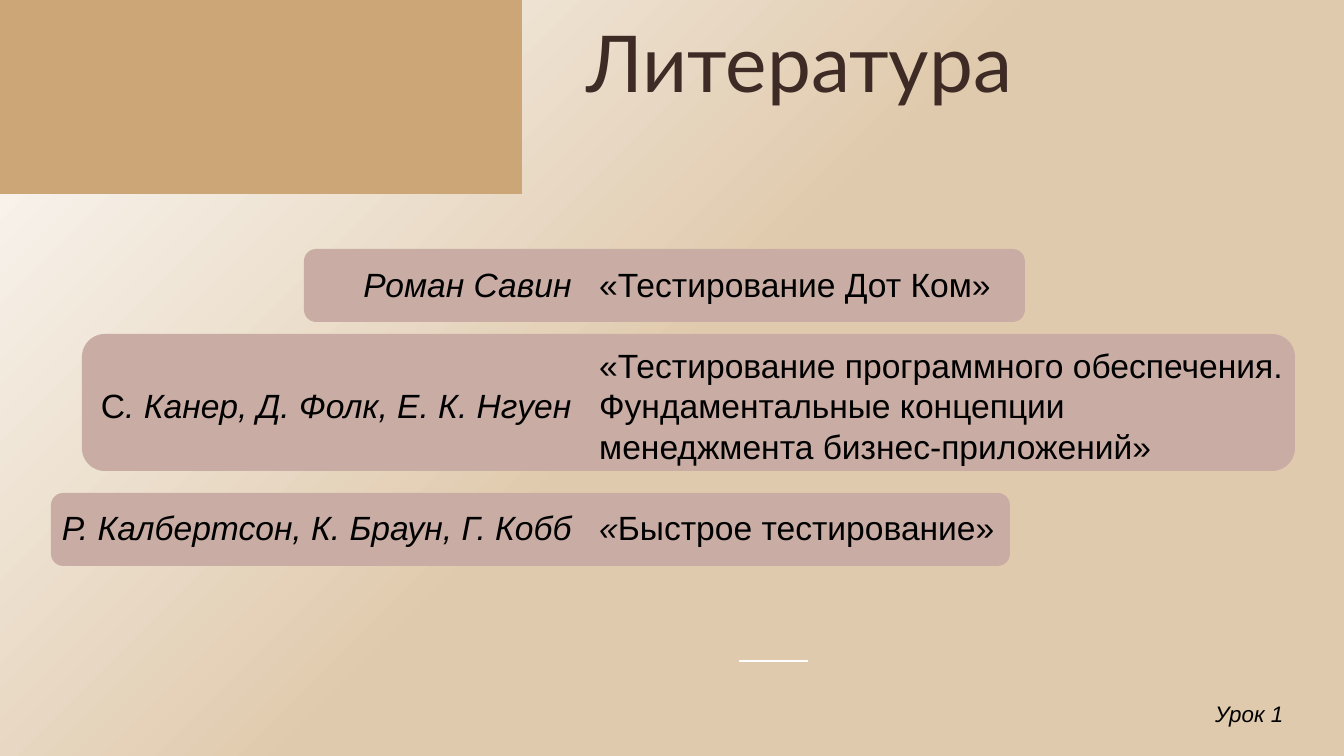
"""Build the "Литература" slide: three books on testing with their authors."""
from dataclasses import dataclass
from typing import NamedTuple

from lxml import etree
from pptx import Presentation
from pptx.dml.color import RGBColor
from pptx.enum.shapes import MSO_CONNECTOR, MSO_SHAPE
from pptx.enum.text import MSO_ANCHOR, MSO_AUTO_SIZE, PP_ALIGN
from pptx.oxml.ns import qn
from pptx.slide import Slide
from pptx.text.text import TextFrame, _Paragraph
from pptx.util import Emu, Pt

RECTANGLE, ROUNDED = MSO_SHAPE.RECTANGLE, MSO_SHAPE.ROUNDED_RECTANGLE
STRAIGHT = MSO_CONNECTOR.STRAIGHT
LEFT, RIGHT = PP_ALIGN.LEFT, PP_ALIGN.RIGHT
TOP, BOTTOM = MSO_ANCHOR.TOP, MSO_ANCHOR.BOTTOM
NO_AUTOFIT = MSO_AUTO_SIZE.NONE
PX_PER_INCH = 134.4
TITLE_ONLY = 5


@dataclass(frozen=True)
class Theme:
    """Colours, fonts and type sizes of the slide."""

    glow: str = "FDFBF9"
    sand: str = "E0CAAD"
    corner: str = "CCA677"
    band: str = "C9ADA4"
    rule: str = "FFFFFF"
    heading: str = "3F2B25"
    ink: str = "000000"
    heading_font: str = "Lato"
    body_font: str = "Arial"
    heading_size: float = 42
    body_size: float = 18
    note_size: float = 12
    line_pitch: float = 21.7
    rule_width: float = 1.5


class Box(NamedTuple):
    """A frame in px."""

    left: int
    top: int
    width: int
    height: int


class Span(NamedTuple):
    """A piece of text in one style."""

    text: str
    italic: bool = False


class Line(NamedTuple):
    """A paragraph and the number of line pitches left free above it."""

    spans: tuple[Span, ...]
    lines_above: int = 0


THEME = Theme()
SLIDE = Box(0, 0, 1344, 756)
CORNER = Box(0, 0, 522, 194)
BANDS = (Box(304, 249, 721, 73), Box(82, 334, 1213, 137), Box(51, 493, 959, 73))
HEADING_BOX = Box(573, 0, 515, 122)
AUTHORS_BOX = Box(0, 257, 585, 298)
BOOKS_BOX = Box(586, 257, 1013, 298)
LESSON_BOX = Box(1202, 694, 133, 40)
RULE = Box(739, 661, 69, 0)

AUTHORS = (
    Line((Span("Роман Савин", True),)),
    Line((Span("С"), Span(". Канер, Д. Фолк, Е. К. Нгуен", True)), 2),
    Line((Span("Р. Калбертсон, К. Браун, Г. Кобб", True),), 2),
)
BOOKS = (
    Line((Span("«Тестирование Дот Ком»"),)),
    Line((Span("«Тестирование программного обеспечения."),), 1),
    Line((Span("Фундаментальные концепции"),)),
    Line((Span("менеджмента бизнес-приложений»"),)),
    Line((Span("«", True), Span("Быстрое тестирование»")), 1),
)
LESSON = (Line((Span("Урок 1", True),)),)


def emu(px: int) -> Emu:
    """Turn px into EMU."""
    return Emu(round(px * 914400 / PX_PER_INCH))


def apply(target: object, values: dict[str, object]) -> None:
    """Set each named attribute of the target."""
    for name, value in values.items():
        setattr(target, name, value)


def place(target: object, box: Box) -> None:
    """Move and size a shape."""
    apply(target, {side: emu(px) for side, px in box._asdict().items()})


def paint_background(slide: Slide) -> None:
    """Fill the background with a diagonal gradient."""
    fill = slide.background.fill
    fill.gradient()
    fill.gradient_angle = 315
    stops = ((THEME.glow, 0.0), (THEME.sand, 0.5))
    for stop, (colour, position) in zip(fill.gradient_stops, stops):
        stop.color.rgb = RGBColor.from_string(colour)
        stop.position = position


def add_panel(slide: Slide, kind: MSO_SHAPE, box: Box, colour: str) -> None:
    """Add a flat filled shape."""
    panel = slide.shapes.add_shape(kind, *map(emu, box))
    panel.shadow.inherit = False
    panel.fill.solid()
    panel.fill.fore_color.rgb = RGBColor.from_string(colour)
    panel.line.fill.background()


def add_rule(slide: Slide, box: Box) -> None:
    """Add the short horizontal rule."""
    ends = (box.left, box.top, box.left + box.width, box.top + box.height)
    rule = slide.shapes.add_connector(STRAIGHT, *map(emu, ends))
    rule.line.color.rgb = RGBColor.from_string(THEME.rule)
    rule.line.width = Pt(THEME.rule_width)
    etree.SubElement(rule._element.spPr, qn("a:effectLst"))


def add_span(paragraph: _Paragraph, span: Span, font: str, size: float, colour: str) -> None:
    """Append a styled run."""
    run = paragraph.add_run()
    run.text = span.text
    apply(run.font, {"name": font, "size": Pt(size), "italic": span.italic})
    run.font.color.rgb = RGBColor.from_string(colour)


def set_frame(frame: TextFrame, anchor: MSO_ANCHOR) -> None:
    """Set wrapping, fitting and anchoring of a text frame."""
    apply(frame, {"word_wrap": True, "auto_size": NO_AUTOFIT, "vertical_anchor": anchor})


def add_lines(slide: Slide, box: Box, lines: tuple[Line, ...], align: PP_ALIGN,
              size: float, pitch: float | None = None) -> None:
    """Add a text box with one paragraph per line."""
    frame = slide.shapes.add_textbox(*map(emu, box)).text_frame
    set_frame(frame, TOP)
    for index, line in enumerate(lines):
        paragraph = frame.add_paragraph() if index else frame.paragraphs[0]
        paragraph.alignment = align
        if pitch:
            apply(paragraph, {"line_spacing": Pt(pitch),
                              "space_before": Pt(pitch * line.lines_above)})
        for span in line.spans:
            add_span(paragraph, span, THEME.body_font, size, THEME.ink)


def set_heading(slide: Slide, text: str) -> None:
    """Place and format the title placeholder."""
    heading = slide.shapes.title
    place(heading, HEADING_BOX)
    frame = heading.text_frame
    set_frame(frame, BOTTOM)
    margins = ("margin_left", "margin_top", "margin_right", "margin_bottom")
    apply(frame, dict.fromkeys(margins, Emu(91440)))
    paragraph = frame.paragraphs[0]
    paragraph.alignment = LEFT
    add_span(paragraph, Span(text), THEME.heading_font, THEME.heading_size, THEME.heading)


def main() -> None:
    """Build and save the slide."""
    deck = Presentation()
    apply(deck, {"slide_width": emu(SLIDE.width), "slide_height": emu(SLIDE.height)})
    slide = deck.slides.add_slide(deck.slide_layouts[TITLE_ONLY])
    paint_background(slide)
    add_panel(slide, RECTANGLE, CORNER, THEME.corner)
    add_rule(slide, RULE)
    for band in BANDS:
        add_panel(slide, ROUNDED, band, THEME.band)
    set_heading(slide, "Литература")
    add_lines(slide, BOOKS_BOX, BOOKS, LEFT, THEME.body_size, THEME.line_pitch)
    add_lines(slide, AUTHORS_BOX, AUTHORS, RIGHT, THEME.body_size, THEME.line_pitch)
    add_lines(slide, LESSON_BOX, LESSON, LEFT, THEME.note_size)
    deck.save("out.pptx")


if __name__ == "__main__":
    main()
